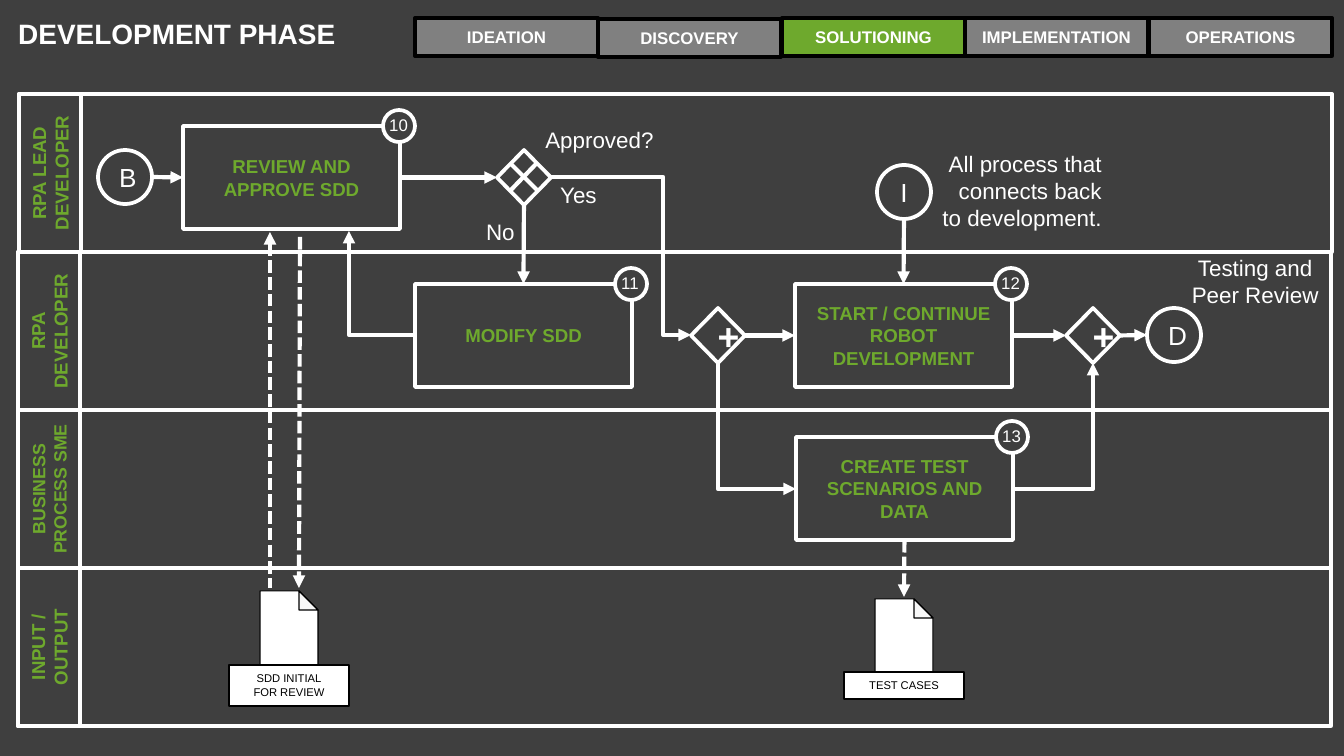
import pptx
import pptx.util
from lxml import etree
from pptx.dml.color import RGBColor
from pptx.enum.dml import MSO_LINE
from pptx.enum.shapes import MSO_CONNECTOR, MSO_SHAPE
from pptx.enum.text import MSO_ANCHOR, MSO_AUTO_SIZE, PP_ALIGN
from pptx.oxml.ns import qn

PX = 914400 / 134.4
CHARCOAL = RGBColor(0x3F, 0x3F, 0x3F)
GREY = RGBColor(0x80, 0x80, 0x80)
GREEN = RGBColor(0x6E, 0xA9, 0x2D)
WHITE = RGBColor(0xFF, 0xFF, 0xFF)
FOLD = RGBColor(0xF8, 0xF8, 0xF8)
BLACK = RGBColor(0, 0, 0)

LABEL = {"size": 12, "bold": False, "color": WHITE, "align": PP_ALIGN.RIGHT}
TASK = {"size": 10, "bold": True, "color": GREEN, "align": PP_ALIGN.CENTER}
TAB = {**TASK, "size": 9, "color": WHITE}
EVENT = {**TAB, "size": 14, "bold": False}
PLUS = {**TAB, "size": 20}
CAPTION = {**EVENT, "size": 6, "color": BLACK}
NUMBER = {**LABEL, "size": 9, "align": PP_ALIGN.LEFT}
TITLE = {**NUMBER, "size": 15, "bold": True}

deck = pptx.Presentation()
deck.slide_width = round(1344 * PX)
deck.slide_height = round(756 * PX)
slide = deck.slides.add_slide(deck.slide_layouts[6])
slide.background.fill.solid()
slide.background.fill.fore_color.rgb = CHARCOAL


def add_box(kind, bounds, text="", look=LABEL, fill=None, line=WHITE, width=2):
    """Add a preset shape, or a text box when kind is None; bounds are in px."""
    place = [round(value * PX) for value in bounds]
    if kind is None:
        box = slide.shapes.add_textbox(*place)
        box.text_frame.auto_size = MSO_AUTO_SIZE.SHAPE_TO_FIT_TEXT
        box.text_frame.word_wrap = False
    else:
        box = slide.shapes.add_shape(kind, *place)
        box.shadow.inherit = False
        box.line.color.rgb = line
        box.line.width = pptx.util.Pt(width)
        box.text_frame.vertical_anchor = MSO_ANCHOR.MIDDLE
        if fill is None:
            box.fill.background()
        else:
            box.fill.solid()
            box.fill.fore_color.rgb = fill
    if text:
        for index, wording in enumerate(text.split("\n")):
            frame = box.text_frame
            para = frame.add_paragraph() if index else frame.paragraphs[0]
            para.alignment = look["align"]
            span = para.add_run()
            span.text = wording
            font = {"name": "Arial", "size": pptx.util.Pt(look["size"]), "bold": look["bold"]}
            for name, value in font.items():
                setattr(span.font, name, value)
            span.font.color.rgb = look["color"]
    return box


def add_line(start, end, head="tailEnd", kind=MSO_CONNECTOR.STRAIGHT, dashed=False,
             begin_at=None, end_at=None):
    """Join two px points; begin_at and end_at are (shape, site) pairs."""
    ends = [round(value * PX) for value in (*start, *end)]
    line = slide.shapes.add_connector(kind, *ends)
    line.line.color.rgb = WHITE
    line.line.width = pptx.util.Pt(2.25)
    if dashed:
        line.line.dash_style = MSO_LINE.SQUARE_DOT
    if begin_at:
        line.begin_connect(*begin_at)
    if end_at:
        line.end_connect(*end_at)
    properties = line._element.spPr
    if head:
        etree.SubElement(properties.find(qn("a:ln")), qn("a:" + head), type="triangle")
    etree.SubElement(properties, qn("a:effectLst"))
    return line


# Header
title = add_box(None, (5, 3, 431, 85), "DEVELOPMENT PHASE", TITLE)
title.text_frame.auto_size = MSO_AUTO_SIZE.NONE
title.text_frame.word_wrap = True
for side in ("left", "top", "right", "bottom"):
    setattr(title.text_frame, "margin_" + side, pptx.util.Inches(0.1))
phases = ["IDEATION", "DISCOVERY", "SOLUTIONING", "IMPLEMENTATION", "OPERATIONS"]
for index, phase in enumerate(phases):
    top = 19 if phase == "DISCOVERY" else 18
    add_box(MSO_SHAPE.RECTANGLE, (415 + index * 734 // 4, top, 183, 38), phase, TAB,
            fill=GREEN if phase == "SOLUTIONING" else GREY, line=BLACK)

# Swimlanes
LANE_HEIGHT = 158
lanes = [("RPA LEAD DEVELOPER", 19, 10), ("RPA DEVELOPER", 18, 10),
         ("BUSINESS PROCESS SME", 18, 9.5), ("INPUT / OUTPUT", 18, 10)]
for index, (role, left, size) in enumerate(lanes):
    top = 94 + index * LANE_HEIGHT
    add_box(MSO_SHAPE.RECTANGLE, (left, top, 1313, LANE_HEIGHT))
    label = add_box(MSO_SHAPE.RECTANGLE, (left - 48, top + 48, LANE_HEIGHT, 62), role,
                    {**TASK, "size": size})
    label.rotation = 270

# Tasks with their step numbers
tasks = {}
for number, left, top, wording in [
    ("10", 183, 126, "REVIEW AND APPROVE SDD"),
    ("11", 415, 284, "MODIFY SDD"),
    ("12", 795, 284, "START / CONTINUE ROBOT\nDEVELOPMENT"),
    ("13", 796, 437, "CREATE TEST SCENARIOS AND DATA"),
]:
    tasks[number] = add_box(MSO_SHAPE.RECTANGLE, (left, top, 217, 103), wording, TASK)
    add_box(MSO_SHAPE.OVAL, (left + 200, top - 16, 32, 32), fill=CHARCOAL)
    add_box(None, (left + 193, top - 18, 46, 34), number, NUMBER)

# Events and gateways
for letter, left, top in [("B", 98, 150), ("D", 1147, 308), ("I", 877, 165)]:
    add_box(MSO_SHAPE.OVAL, (left, top, 54, 54), letter, EVENT)
approval, fork, merge = [
    add_box(MSO_SHAPE.FLOWCHART_DECISION, (left, top, 54, 55), sign, PLUS)
    for left, top, sign in [(497, 150, ""), (691, 308, "+"), (1066, 308, "+")]
]
add_line((510, 163), (538, 191), head=None)
add_line((537, 163), (510, 191), head=None)

# Documents
for left, top, caption, caption_top, caption_height in [
    (260, 591, "SDD INITIAL\nFOR REVIEW", 665, 41),
    (875, 599, "TEST CASES", 672, 27),
]:
    sheet = [(39, 0), (0, 0), (0, 78), (58, 78), (58, 19)]
    corner = [(39, 19), (58, 19), (39, 0)]
    for outline, color in [(sheet, WHITE), (corner, FOLD)]:
        points = [(left + x, top + y) for x, y in outline]
        builder = slide.shapes.build_freeform(*points[0], scale=PX)
        builder.add_line_segments(points[1:], close=True)
        piece = builder.convert_to_shape()
        piece.shadow.inherit = False
        piece.fill.solid()
        piece.fill.fore_color.rgb = color
        piece.line.color.rgb = BLACK
        piece.line.width = pptx.util.Pt(0.63)
    box = add_box(MSO_SHAPE.RECTANGLE, (left - 31, caption_top, 120, caption_height),
                  caption, CAPTION, fill=WHITE, line=BLACK, width=0.75)
    box.text_frame.vertical_anchor = MSO_ANCHOR.TOP

# Straight flows
add_line((152, 177), (183, 177), end_at=(tasks["10"], 1))
add_line((400, 177), (497, 177), begin_at=(tasks["10"], 3), end_at=(approval, 1))
add_line((524, 205), (524, 284), begin_at=(approval, 2), end_at=(tasks["11"], 0))
add_line((745, 335), (795, 335), begin_at=(fork, 3), end_at=(tasks["12"], 1))
add_line((1012, 335), (1066, 335), begin_at=(tasks["12"], 3), end_at=(merge, 1))
add_line((1120, 335), (1147, 335), begin_at=(merge, 3))
add_line((904, 219), (904, 284), end_at=(tasks["12"], 0))
add_line((904, 540), (904, 597), dashed=True, begin_at=(tasks["13"], 2))
add_line((300, 237), (299, 588), dashed=True)
add_line((270, 232), (270, 588), head="headEnd", dashed=True)

# Flows with one corner
for start, end, head in [((415, 335), (349, 231), "tailEnd"),
                         ((796, 489), (718, 363), "headEnd"),
                         ((1013, 489), (1093, 363), "tailEnd")]:
    flow = add_line(start, end, head, MSO_CONNECTOR.ELBOW)
    flow._element.spPr.find(qn("a:prstGeom")).set("prst", "bentConnector2")

# Flow with two corners, turning at 80 % of its width
approved = add_line((551, 177), (691, 335), kind=MSO_CONNECTOR.ELBOW)
bends = approved._element.spPr.find(qn("a:prstGeom")).find(qn("a:avLst"))
etree.SubElement(bends, qn("a:gd"), name="adj1", fmla="val 80200")

# Free labels
for bounds, wording in [
    ((531, 120, 136, 40), "Approved?"),
    ((472, 212, 56, 40), "No"),
    ((544, 175, 66, 40), "Yes"),
    ((1177, 248, 155, 67), "Testing and \nPeer Review"),
]:
    add_box(None, bounds, wording)
note = add_box(None, (923, 144, 192, 95), "All process that connects back to development.")
note.text_frame.word_wrap = True

deck.save("out.pptx")
